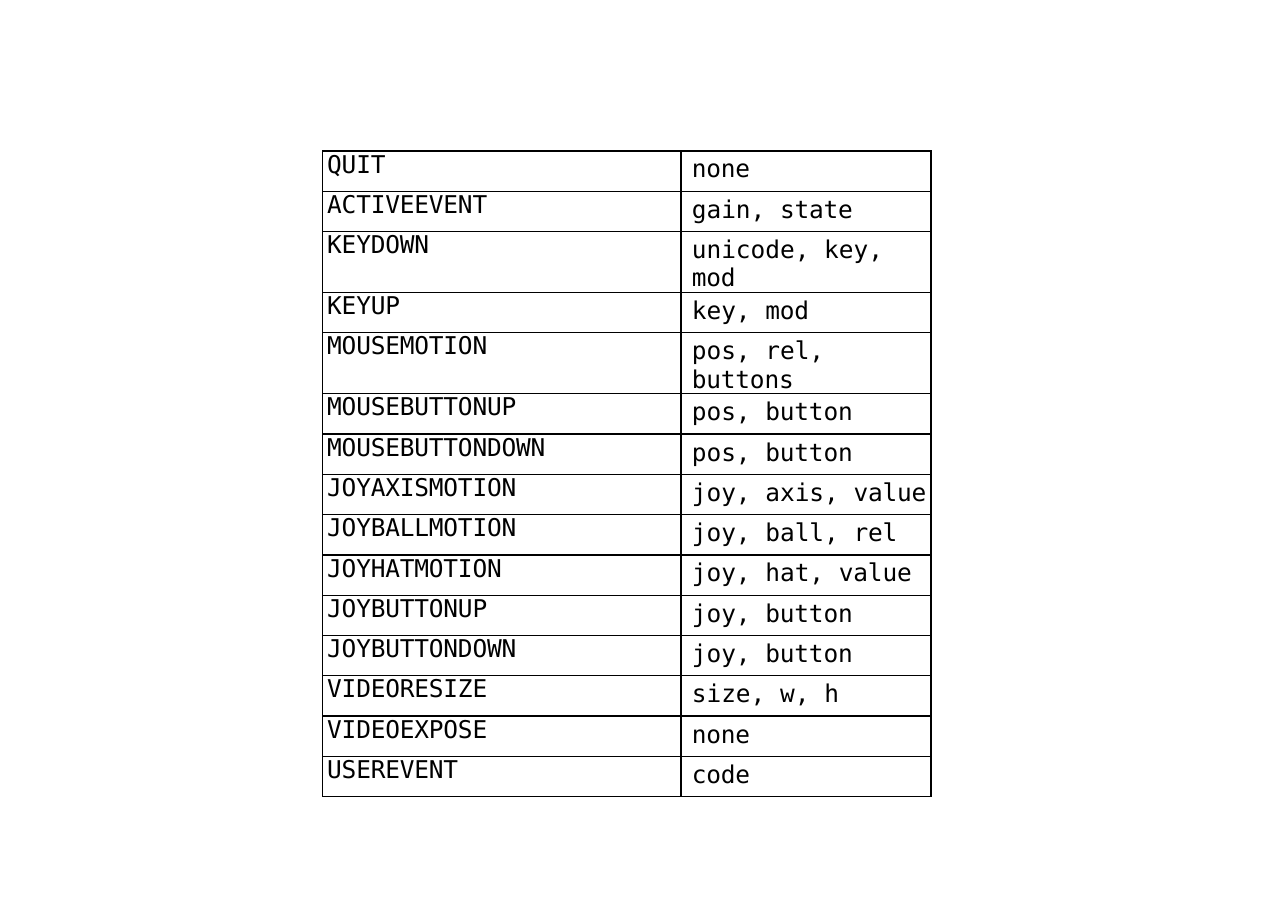
from lxml.etree import SubElement
from pptx import Presentation
from pptx.dml.color import RGBColor
from pptx.oxml.ns import qn
from pptx.util import Inches, Pt

COLORS = {"ink": "000000"}
FONT = {"name": "DejaVu Sans Mono", "size": Pt(16)}
TIGHT = -10  # letter spacing in hundredths of a point

# Event type, then the attributes it carries
EVENTS = [
    ("QUIT", "none"),
    ("ACTIVEEVENT", "gain, state"),
    ("KEYDOWN", "unicode, key, mod"),
    ("KEYUP", "key, mod"),
    ("MOUSEMOTION", "pos, rel, buttons"),
    ("MOUSEBUTTONUP", "pos, button"),
    ("MOUSEBUTTONDOWN", "pos, button"),
    ("JOYAXISMOTION", "joy, axis, value"),
    ("JOYBALLMOTION", "joy, ball, rel"),
    ("JOYHATMOTION", "joy, hat, value"),
    ("JOYBUTTONUP", "joy, button"),
    ("JOYBUTTONDOWN", "joy, button"),
    ("VIDEORESIZE", "size, w, h"),
    ("VIDEOEXPOSE", "none"),
    ("USEREVENT", "code"),
]
COLUMNS = [
    {"width": 3.25, "top": 0, "indent": 0.04,
     "spacing": {"line_spacing": Pt(18.2)}},
    {"width": 2.27, "top": 0.04, "indent": 0.1,
     "spacing": {"space_before": Pt(2.6)}},
]
LEFT, TOP, HEIGHT = 2.93, 1.37, 5.49


def apply(target, values):
    for name, value in values.items():
        setattr(target, name, value)


def draw_borders(cell):
    properties = cell._tc.get_or_add_tcPr()
    for side in ("lnL", "lnR", "lnT", "lnB"):
        line = SubElement(properties, qn(f"a:{side}"), w=str(Pt(1)))
        fill = SubElement(line, qn("a:solidFill"))
        SubElement(fill, qn("a:srgbClr"), val=COLORS["ink"])


def add_words(paragraph, words, letter_spacing):
    run = paragraph.add_run()
    run.text = words
    apply(run.font, FONT)
    run.font.color.rgb = RGBColor.from_string(COLORS["ink"])
    run._r.get_or_add_rPr().set("spc", str(letter_spacing))


def fill_cell(cell, text, column):
    draw_borders(cell)
    cell.fill.background()
    apply(cell, {"margin_left": 0, "margin_top": Inches(column["top"]),
                 "margin_right": 0, "margin_bottom": 0})
    paragraph = cell.text_frame.paragraphs[0]
    apply(paragraph, column["spacing"])
    indent = Inches(column["indent"])
    paragraph._p.get_or_add_pPr().set("marL", str(indent))
    # Only the last word of a list is tightened
    lead, comma, last = text.rpartition(", ")
    if lead:
        add_words(paragraph, lead + comma, 0)
    add_words(paragraph, last, TIGHT)


def main():
    deck = Presentation()
    apply(deck, {"slide_width": Inches(11.69), "slide_height": Inches(8.27)})
    slide = deck.slides.add_slide(deck.slide_layouts[6])
    width = sum(column["width"] for column in COLUMNS)
    events = slide.shapes.add_table(
        len(EVENTS), len(COLUMNS),
        *map(Inches, (LEFT, TOP, width, HEIGHT))).table
    apply(events, {"first_row": False, "horz_banding": False})
    for grid_column, column in zip(events.columns, COLUMNS):
        grid_column.width = Inches(column["width"])
    for row, event in zip(events.rows, EVENTS):
        for cell, text, column in zip(row.cells, event, COLUMNS):
            fill_cell(cell, text, column)
    deck.save("out.pptx")


if __name__ == "__main__":
    main()
